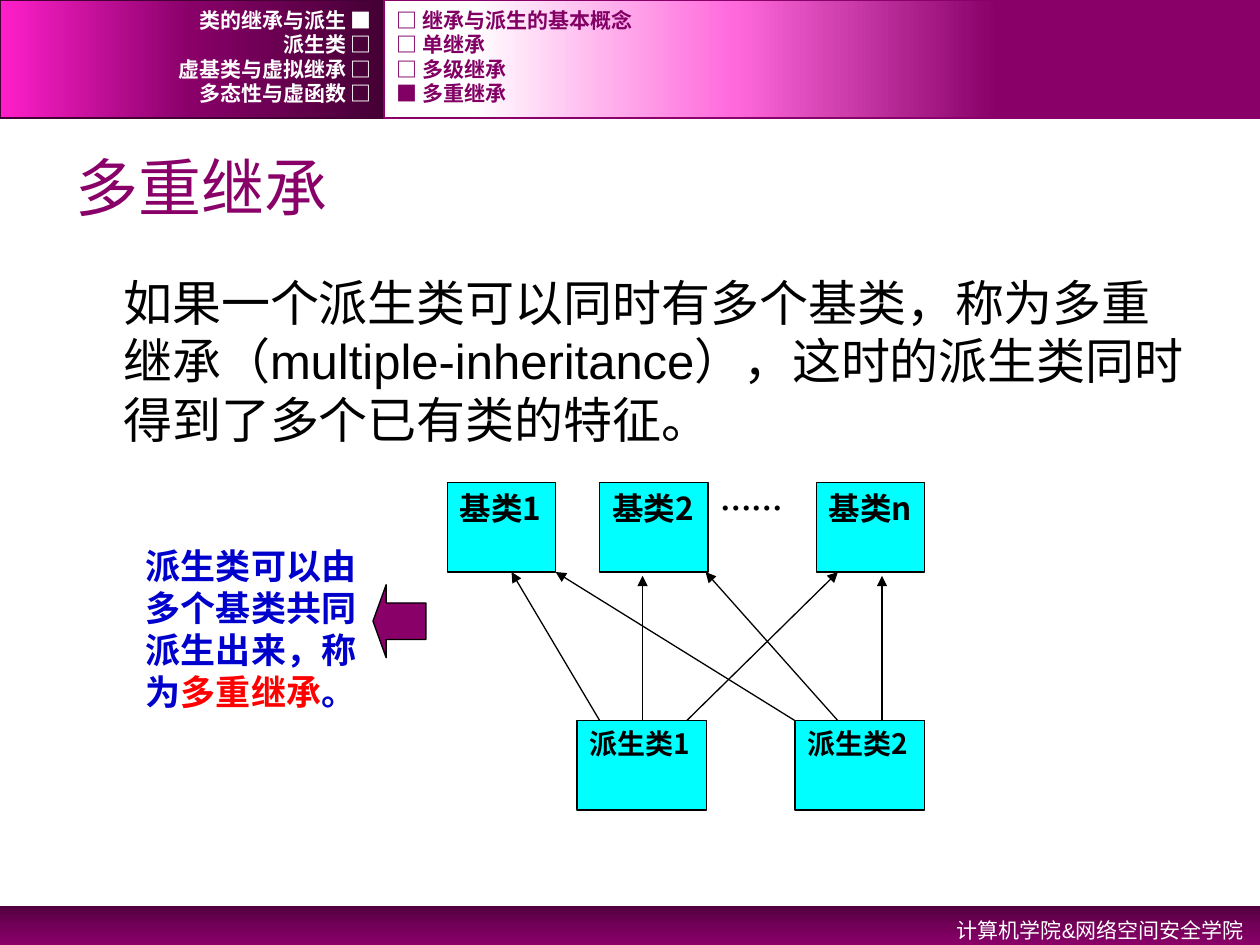
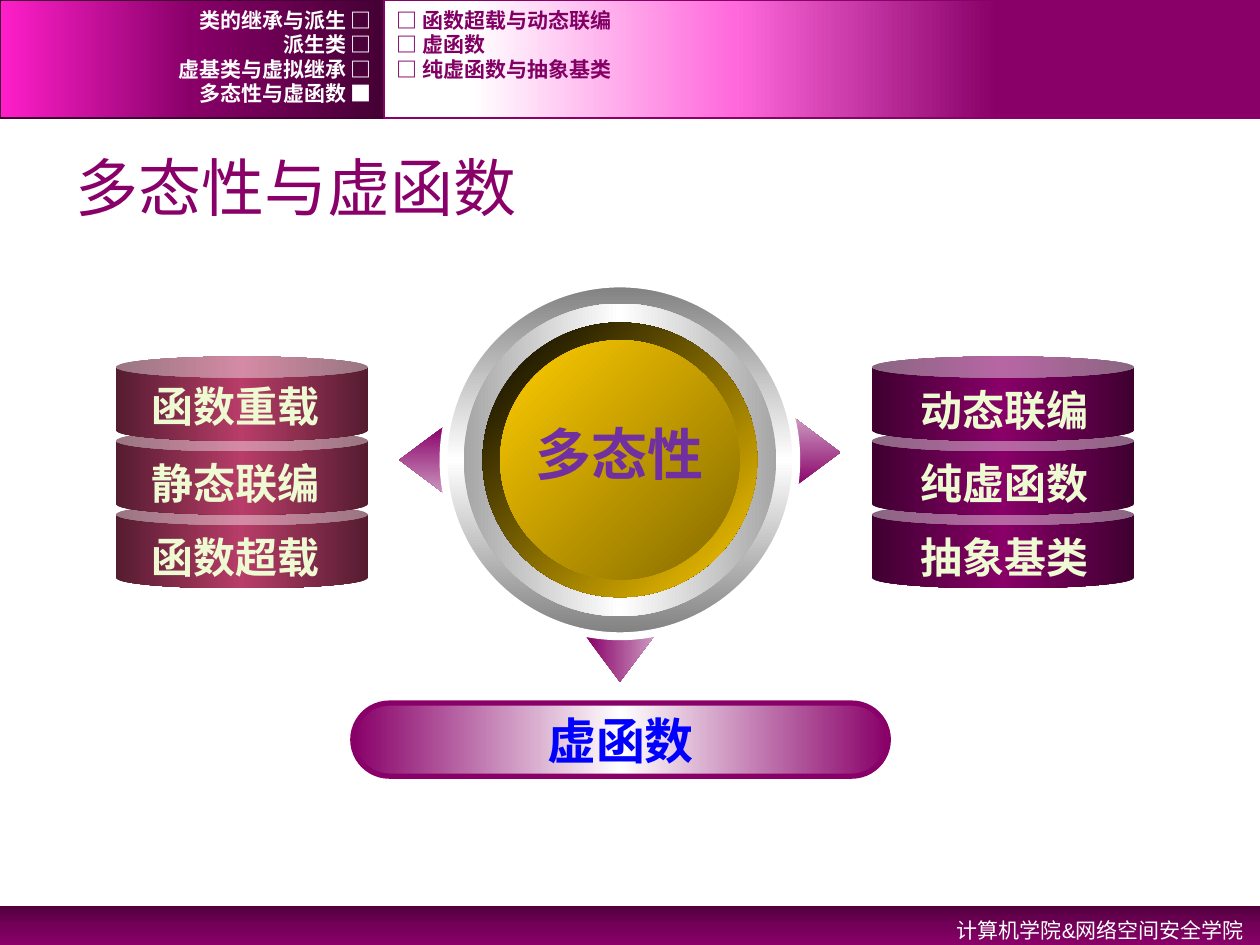
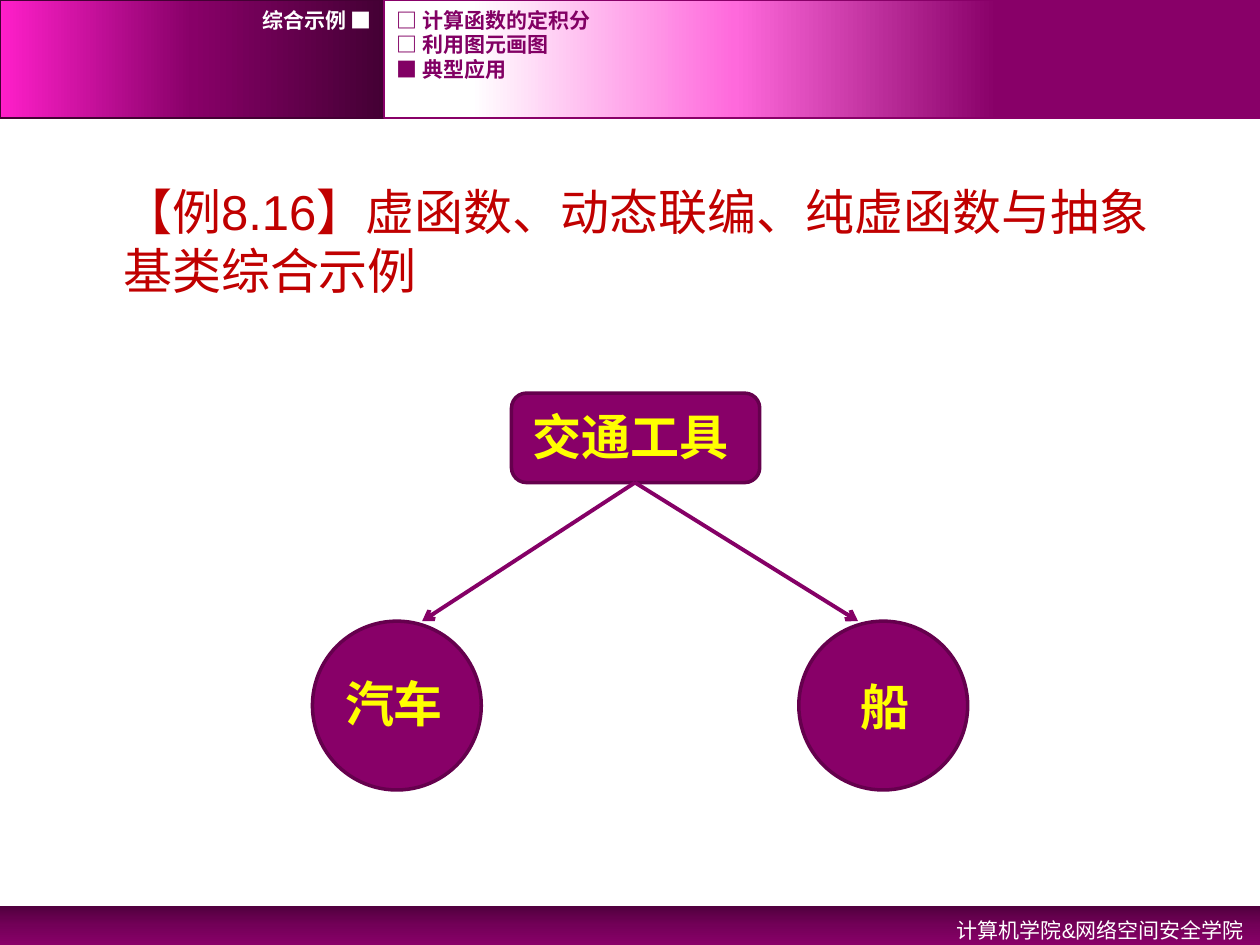
import pptx
import pptx.dml.color
import pptx.enum.shapes
import pptx.enum.text
import pptx.oxml
import pptx.oxml.ns
import pptx.util

Inches = pptx.util.Inches
Pt = pptx.util.Pt
RGBColor = pptx.dml.color.RGBColor
SHAPE = pptx.enum.shapes.MSO_SHAPE
ALIGN = pptx.enum.text.PP_ALIGN
ANCHOR = pptx.enum.text.MSO_ANCHOR

# Colours
WHITE = RGBColor(0xFF, 0xFF, 0xFF)
BLACK = RGBColor(0x00, 0x00, 0x00)
PLUM = RGBColor(0x88, 0x00, 0x68)
PLUM_BORDER = RGBColor(0x65, 0x00, 0x4D)
PLUM_LINK = RGBColor(0x85, 0x00, 0x66)
PLUM_TEXT = RGBColor(0x82, 0x00, 0x64)
PLUM_NIGHT = RGBColor(0x44, 0x00, 0x34)
PLUM_DARK = RGBColor(0x51, 0x00, 0x3E)
PLUM_MIDDLE = RGBColor(0x73, 0x00, 0x58)
PLUM_SHADE = RGBColor(0x3F, 0x00, 0x30)
PLUM_PALE = RGBColor(0xCC, 0x98, 0xC0)
MAGENTA = RGBColor(0xFF, 0x1F, 0xCA)
PINK = RGBColor(0xFF, 0x69, 0xDC)
ROSE = RGBColor(0xB8, 0x3D, 0x68)
ROSE_SHADE = RGBColor(0x55, 0x1C, 0x30)
GREY = RGBColor(0x80, 0x80, 0x80)
SILVER = RGBColor(0xA6, 0xA6, 0xA6)
GOLD = RGBColor(0xFF, 0xCC, 0x00)
GOLD_SHADE = RGBColor(0x84, 0x6A, 0x00)
CYAN = RGBColor(0x00, 0xFF, 0xFF)
NAVY = RGBColor(0x00, 0x00, 0xCC)
BLUE = RGBColor(0x00, 0x00, 0xFF)
RED = RGBColor(0xFF, 0x00, 0x00)
DARK_RED = RGBColor(0xC0, 0x00, 0x00)
VIOLET = RGBColor(0x70, 0x30, 0xA0)
CREAM = RGBColor(0xED, 0xFA, 0xD2)
YELLOW = RGBColor(0xFF, 0xFF, 0x00)

# Text styles
SANS = "Noto Sans CJK SC"
FOOTER = {"name": "Arial", "size": Pt(12)}
TITLE = {"name": "Arial", "size": Pt(36)}
BODY = {"name": "Arial", "size": Pt(28)}
NAVIGATION = {"name": "Courier New", "size": Pt(12), "bold": True}
BASE_CLASS = {"name": SANS, "size": Pt(18), "bold": True}
DERIVED_CLASS = {"name": SANS, "size": Pt(16), "bold": True}
NOTE = {"name": SANS, "size": Pt(20), "bold": True}
CAN_LABEL = {"name": SANS, "size": Pt(24), "bold": True}
HUB_LABEL = {"name": SANS, "size": Pt(32), "bold": True}
PILL_LABEL = {"name": SANS, "size": Pt(28), "bold": True}
NODE_LABEL = {"name": "Arial", "size": Pt(28), "bold": True}

CHAPTERS = ["类的继承与派生", "派生类", "虚基类与虚拟继承", "多态性与虚函数"]


def lengths(box):
    return [Inches(value) for value in box]


def write(shape, runs, style, align=ALIGN.LEFT, anchor=ANCHOR.TOP, wrap=True):
    """Write (text, colour) runs as one paragraph and return it."""
    frame = shape.text_frame
    for name, value in {"word_wrap": wrap, "vertical_anchor": anchor}.items():
        setattr(frame, name, value)
    paragraph = frame.paragraphs[0]
    paragraph.alignment = align
    for text, colour in runs:
        run = paragraph.add_run()
        run.text = text
        for name, value in style.items():
            setattr(run.font, name, value)
        run.font.color.rgb = colour
    return paragraph


def add_text(slide, box, runs, style, **layout):
    return write(slide.shapes.add_textbox(*lengths(box)), runs, style, **layout)


def fill_gradient(shape, stops, angle):
    """Fill with (percent, colour) stops, the angle running clockwise."""
    shape.fill.gradient()
    shape.fill.gradient_angle = -angle % 360
    stop_list = shape.fill._fill._gradFill.find(pptx.oxml.ns.qn("a:gsLst"))
    for stop in list(stop_list):
        stop_list.remove(stop)
    for percent, colour in stops:
        stop_list.append(pptx.oxml.parse_xml(
            f'<a:gs {pptx.oxml.ns.nsdecls("a")} pos="{percent * 1000}">'
            f'<a:srgbClr val="{colour}"/></a:gs>'))


def add_shape(slide, kind, box, fill, angle=0, line=None, width=0.75, adjustments=()):
    """Add a preset shape; fill is one colour or a list of gradient stops."""
    shape = slide.shapes.add_shape(kind, *lengths(box))
    shape.shadow.inherit = False
    for index, value in enumerate(adjustments):
        shape.adjustments[index] = value
    if isinstance(fill, list):
        fill_gradient(shape, fill, angle)
    else:
        shape.fill.solid()
        shape.fill.fore_color.rgb = fill
    if line is None:
        shape.line.fill.background()
    else:
        shape.line.color.rgb = line
        shape.line.width = Pt(width)
    return shape


def add_arrow(slide, start, end, colour, width, head):
    arrow = slide.shapes.add_connector(
        pptx.enum.shapes.MSO_CONNECTOR.STRAIGHT, *lengths(start + end))
    arrow.line.color.rgb = colour
    arrow.line.width = Pt(width)
    namespace = pptx.oxml.ns.nsdecls("a")
    arrow.line._get_or_add_ln().append(
        pptx.oxml.parse_xml(f'<a:tailEnd {namespace} type="{head}"/>'))
    arrow._element.spPr.append(pptx.oxml.parse_xml(f"<a:effectLst {namespace}/>"))


# Shared frame
def mirrored(edge, middle):
    return [(0, edge), (50, middle), (100, edge)]


def add_navigation(slide, box, entries, current, colour, align):
    left, top, width, height = box
    for row, entry in enumerate(entries):
        mark = "■" if entry == current else "□"
        text = f"{entry} {mark}" if align == ALIGN.RIGHT else f"{mark} {entry}"
        add_text(slide, (left, top + row * height, width, height), [(text, colour)],
                 NAVIGATION, align=align, anchor=ANCHOR.MIDDLE)


def add_frame(presentation, chapters, chapter, sections, section=None):
    slide = presentation.slides.add_slide(presentation.slide_layouts[6])
    add_shape(slide, SHAPE.RECTANGLE, (0, 7.19, 10, 0.31),
              [(0, PLUM_DARK), (50, PLUM_MIDDLE), (100, PLUM)], 90)
    add_shape(slide, SHAPE.RECTANGLE, (0, 0, 3.05, 0.94),
              [(0, PLUM_NIGHT), (50, PLUM), (100, MAGENTA)], 180, PLUM_NIGHT, 1)
    add_shape(slide, SHAPE.RECTANGLE, (3.05, 0, 6.95, 0.94),
              [(30, PLUM), (60, PINK), (90, WHITE)], 180, PLUM, 1)
    footer = add_text(slide, (6.42, 7.19, 3.55, 0.32),
                      [("计算机学院&网络空间安全学院", WHITE)], FOOTER, align=ALIGN.RIGHT)
    footer.line_spacing = 1.2
    add_navigation(slide, (0, 0.06, 3.05, 0.195), chapters, chapter, WHITE, ALIGN.RIGHT)
    add_navigation(slide, (3.05, 0.06, 6.02, 0.195), sections, section,
                   PLUM_TEXT, ALIGN.LEFT)
    return slide


def add_title(slide, text):
    add_text(slide, (0.5, 1.09, 9, 0.78), [(text, PLUM)], TITLE, anchor=ANCHOR.MIDDLE)


def add_body(slide, box, text, colour):
    paragraph = add_text(slide, box, [(text, colour)], BODY)
    paragraph.space_before = Pt(5.6)
    paragraph._p.get_or_add_pPr().set("marL", str(Inches(0.38)))


# Multiple inheritance
def add_class_diagram(slide, left, top):
    derived_top = top + 1.89
    groups = [
        (top, 0.86, BASE_CLASS, [("基类1", 0), ("基类2", 1.21), ("基类n", 2.93)]),
        (derived_top, 1.03, DERIVED_CLASS, [("派生类1", 1.03), ("派生类2", 2.76)]),
    ]
    for row_top, width, style, classes in groups:
        for name, offset in classes:
            shape = add_shape(slide, SHAPE.RECTANGLE, (left + offset, row_top, width, 0.71),
                              CYAN, line=BLACK)
            write(shape, [(name, BLACK)], style, align=ALIGN.JUSTIFY)
    add_text(slide, (left + 2.07, top, 0.86, 0.71), [("……", BLACK)], BASE_CLASS,
             align=ALIGN.JUSTIFY)
    # Each arrow: start x, end x, end y
    for start, end, bottom in [(1.21, 0.51, 0.71), (1.55, 1.55, 0.74), (1.9, 3.1, 0.71),
                               (2.76, 0.86, 0.71), (3.1, 2.05, 0.71), (3.45, 3.45, 0.74)]:
        add_arrow(slide, (left + start, derived_top), (left + end, top + bottom),
                  BLACK, 0.75, "triangle")


def add_side_note(slide, left, top):
    add_text(slide, (left, top, 1.96, 1.45),
             [("派生类可以由多个基类共同派生出来，称为", NAVY), ("多重继承", RED), ("。", NAVY)],
             NOTE)
    add_shape(slide, SHAPE.LEFT_ARROW, (left + 1.9, top + 0.37, 0.42, 0.58), PLUM,
              line=BLACK, adjustments=(0.5, 0.25))


def build_inheritance(presentation):
    sections = ["继承与派生的基本概念", "单继承", "多级继承", "多重继承"]
    slide = add_frame(presentation, CHAPTERS, CHAPTERS[0], sections, sections[3])
    add_title(slide, "多重继承")
    add_body(slide, (0.5, 2.11, 9, 4.92),
             "如果一个派生类可以同时有多个基类，称为多重继承（multiple-inheritance），"
             "这时的派生类同时得到了多个已有类的特征。", BLACK)
    add_class_diagram(slide, 3.55, 3.83)
    add_side_note(slide, 1.06, 4.27)


# Polymorphism
def add_hub(slide, left, top):
    pointers = [(-0.44, 1.22, 270), (2.7, 1.16, 90), (1.13, 2.8, 180)]
    for x, y, rotation in pointers:
        pointer = add_shape(slide, SHAPE.UP_ARROW, (left + x, top + y, 0.54, 0.36),
                            [(0, PLUM), (100, PLUM_PALE)], adjustments=(0.517, 1))
        pointer.rotation = rotation
        pointer._element.spPr.xfrm.set("flipH", "1")
    # Each ring: inset, stops, angle, line
    rings = [
        (0, mirrored(GREY, WHITE), 90, WHITE),
        (0.16, mirrored(SILVER, WHITE), 0, None),
        (0.31, [(0, BLACK), (100, GOLD)], 45, None),
        (0.45, [(0, GOLD), (100, GOLD_SHADE)], 45, None),
    ]
    for inset, stops, angle, line in rings:
        size = 2.8 - 2 * inset
        add_shape(slide, SHAPE.OVAL, (left + inset, top + inset, size, size),
                  stops, angle, line, 4.5)
    add_text(slide, (left + 0.62, top + 1.03, 1.55, 0.64), [("多态性", VIOLET)], HUB_LABEL,
             align=ALIGN.CENTER, wrap=False)


def add_can_stack(slide, box, stops, labels, label_left, label_drops):
    left, top, width, height = box
    tops = [top + 0.585 * row for row in range(len(labels))]
    for can_top in reversed(tops):
        add_shape(slide, SHAPE.CAN, (left, can_top, width, height), stops,
                  adjustments=(0.25,))
    for label, can_top, drop in zip(labels, tops, label_drops):
        add_text(slide, (left + label_left, can_top + drop, 1.56, 0.5), [(label, CREAM)],
                 CAN_LABEL, align=ALIGN.CENTER, wrap=False)


def build_polymorphism(presentation):
    slide = add_frame(presentation, CHAPTERS, CHAPTERS[3],
                      ["函数超载与动态联编", "虚函数", "纯虚函数与抽象基类"])
    add_title(slide, "多态性与虚函数")
    add_hub(slide, 3.52, 2.25)
    add_can_stack(slide, (0.92, 2.83, 2, 0.67), mirrored(ROSE_SHADE, ROSE),
                  ["函数重载", "静态联编", "函数超载"], 0.17, (0.14, 0.17, 0.17))
    add_can_stack(slide, (6.92, 2.83, 2.08, 0.67), mirrored(PLUM_SHADE, PLUM),
                  ["动态联编", "纯虚函数", "抽象基类"], 0.27, (0.17, 0.17, 0.17))
    pill = add_shape(slide, SHAPE.ROUNDED_RECTANGLE, (2.8, 5.58, 4.25, 0.58),
                     mirrored(PLUM, WHITE), line=PLUM, width=3, adjustments=(0.5,))
    write(pill, [("虚函数", BLUE)], PILL_LABEL, align=ALIGN.CENTER,
          anchor=ANCHOR.MIDDLE, wrap=False)


# Vehicle example
def add_vehicle_tree(slide, left, top):
    # Each node: shape, box, label, label box
    nodes = [
        (SHAPE.ROUNDED_RECTANGLE, (1.58, 0, 1.97, 0.71), "交通工具", (1.65, 0.06, 1.81, 0.57)),
        (SHAPE.OVAL, (0, 1.81, 1.34, 1.34), "汽车", (0.16, 2.18, 1.02, 0.57)),
        (SHAPE.OVAL, (3.86, 1.81, 1.34, 1.34), "船", (4.25, 2.2, 0.63, 0.57)),
    ]
    for kind, (x, y, *size), label, (label_x, label_y, *label_size) in nodes:
        add_shape(slide, kind, (left + x, top + y, *size), PLUM, line=PLUM_BORDER, width=2)
        add_text(slide, (left + label_x, top + label_y, *label_size),
                 [(label, YELLOW)], NODE_LABEL)
    for end in (0.87, 4.33):
        add_arrow(slide, (left + 2.56, top + 0.71), (left + end, top + 1.81),
                  PLUM_LINK, 2.25, "arrow")


def build_example(presentation):
    sections = ["计算函数的定积分", "利用图元画图", "典型应用"]
    slide = add_frame(presentation, ["综合示例"], "综合示例", sections, sections[2])
    add_body(slide, (0.5, 1.39, 9, 5.64),
             "【例8.16】虚函数、动态联编、纯虚函数与抽象基类综合示例", DARK_RED)
    add_vehicle_tree(slide, 2.48, 3.12)


def main():
    presentation = pptx.Presentation()
    presentation.slide_width = Inches(10)
    presentation.slide_height = Inches(7.5)
    build_inheritance(presentation)
    build_polymorphism(presentation)
    build_example(presentation)
    presentation.save("out.pptx")


if __name__ == "__main__":
    main()
